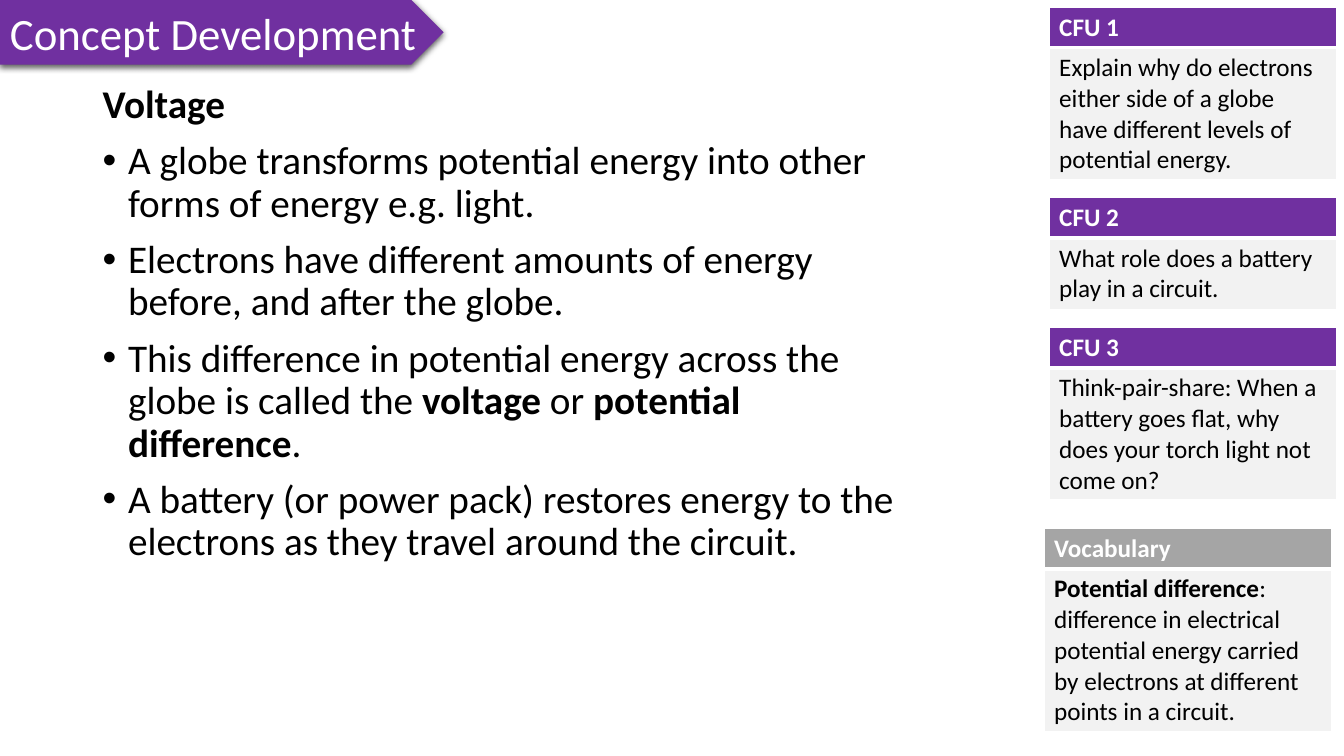
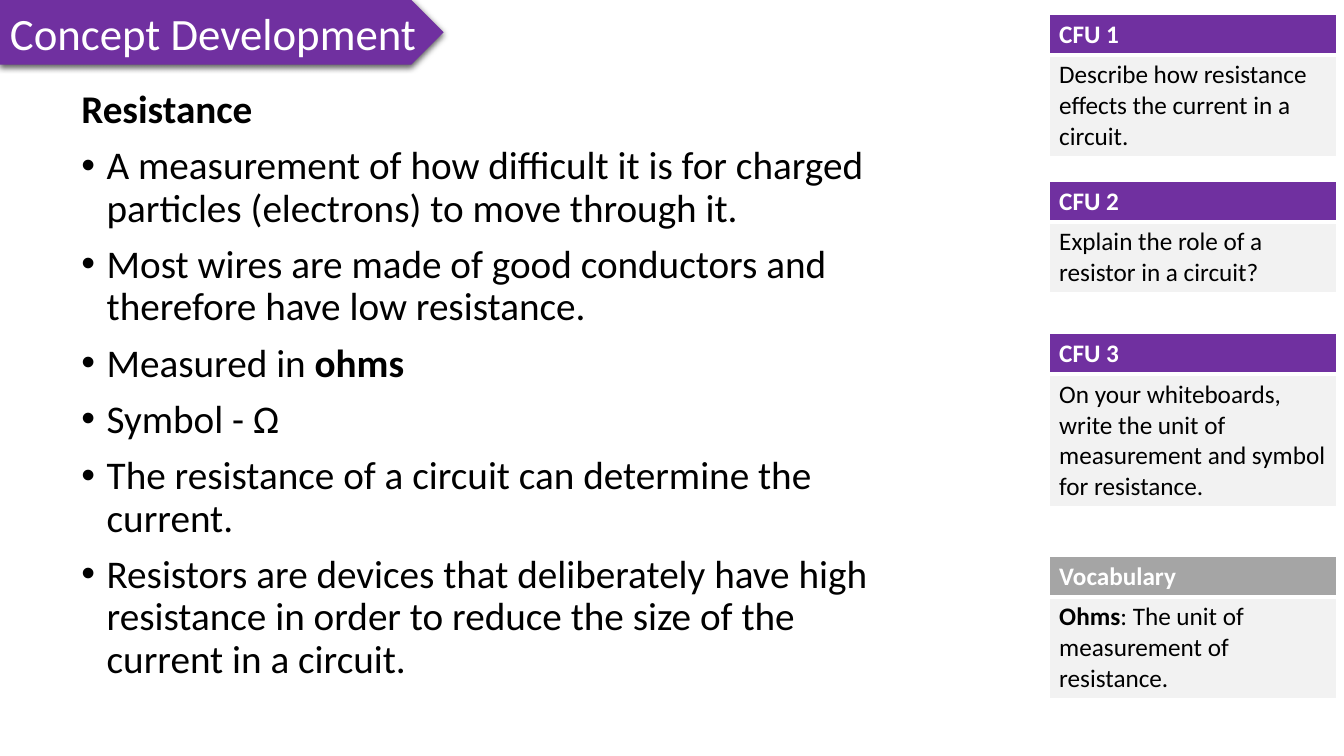
"""Build two lesson slides on voltage and resistance."""
from lxml.etree import SubElement
from pptx import Presentation
from pptx.dml.color import RGBColor
from pptx.enum.shapes import MSO_SHAPE
from pptx.enum.text import MSO_ANCHOR, PP_ALIGN
from pptx.oxml import parse_xml
from pptx.oxml.ns import nsdecls, qn
from pptx.util import Cm, Pt

COLOURS = {
    "purple": "7030A0",
    "grey": "A5A5A5",
    "pale": "F2F2F2",
    "white": "FFFFFF",
    "black": "000000",
}
FONT = "Calibri"
CARD_LEFT, CARD_WIDTH, HEADER_HEIGHT = 26.44, 7.24, 1.02
LINE_HEIGHT, CELL_PADDING = 0.77, 0.25

LESSONS = [
    {
        "left": 2.34, "top": 2.01, "height": 13.59,
        "heading": "Voltage",
        "points": [
            "A globe transforms potential energy into other forms of energy e.g. light.",
            "Electrons have different amounts of energy before, and after the globe.",
            "This difference in potential energy across the globe is called the "
            "**voltage** or **potential difference**.",
            "A battery (or power pack) restores energy to the electrons as they "
            "travel around the circuit.",
        ],
        "cards": [
            ("CFU 1", CARD_LEFT, 0.18, 4, "Explain why do electrons either side of a "
             "globe have different levels of potential energy."),
            ("CFU 2", CARD_LEFT, 4.98, 2, "What role does a battery play in a circuit."),
            ("CFU 3", CARD_LEFT, 8.25, 4, "Think-pair-share: When a battery goes flat, "
             "why does your torch light not come on?"),
            ("Vocabulary", 26.31, 13.31, 5, "**Potential difference**: difference in "
             "electrical potential energy carried by electrons at different points "
             "in a circuit."),
        ],
    },
    {
        "left": 1.8, "top": 2.13, "height": 15.9,
        "heading": "Resistance",
        "points": [
            "A measurement of how difficult it is for charged particles (electrons) "
            "to move through it.",
            "Most wires are made of good conductors and therefore have low resistance.",
            "Measured in **ohms**",
            "Symbol - Ω",
            "The resistance of a circuit can determine the current.",
            "Resistors are devices that deliberately have high resistance in order "
            "to reduce the size of the current in a circuit.",
        ],
        "cards": [
            ("CFU 1", CARD_LEFT, 0.36, 3, "Describe how resistance effects the current "
             "in a circuit."),
            ("CFU 2", CARD_LEFT, 4.57, 2, "Explain the role of a resistor in a circuit?"),
            ("CFU 3", CARD_LEFT, 8.41, 4, "On your whiteboards, write the unit of "
             "measurement and symbol for resistance."),
            ("Vocabulary", CARD_LEFT, 14.02, 3, "**Ohms**: The unit of measurement of "
             "resistance."),
        ],
    },
]


def write(paragraph, text, size, colour):
    """Fill a paragraph; text between double asterisks is bold."""
    paragraph.font.name = FONT
    paragraph.font.size = Pt(size)
    paragraph.font.color.rgb = RGBColor.from_string(COLOURS[colour])
    for index, part in enumerate(text.split("**")):
        if part:
            run = paragraph.add_run()
            run.text = part
            run.font.bold = index % 2 == 1


def style_cell(cell, fill, borders):
    """Fill a cell and give it white borders, widths in points."""
    cell.fill.solid()
    cell.fill.fore_color.rgb = RGBColor.from_string(COLOURS[fill])
    properties = cell._tc.get_or_add_tcPr()
    for index, (side, width) in enumerate(zip("LRTB", borders)):
        properties.insert(index, parse_xml(
            f'<a:ln{side} {nsdecls("a")} w="{Pt(width)}"><a:solidFill>'
            f'<a:srgbClr val="{COLOURS["white"]}"/></a:solidFill></a:ln{side}>'))


presentation = Presentation()
presentation.slide_width = Cm(33.87)
presentation.slide_height = Cm(19.05)

for lesson in LESSONS:
    slide = presentation.slides.add_slide(presentation.slide_layouts[6])

    banner = slide.shapes.add_shape(MSO_SHAPE.PENTAGON, 0, 0, Cm(11.18), Cm(1.63))
    banner.fill.solid()
    banner.fill.fore_color.rgb = RGBColor.from_string(COLOURS["purple"])
    banner.line.fill.background()
    banner.shadow.inherit = False
    banner._element.spPr.find(qn("a:effectLst")).append(parse_xml(
        f'<a:outerShdw {nsdecls("a")} blurRad="{Pt(4.5)}" dist="{Pt(1.5)}" '
        f'dir="5400000" algn="t" rotWithShape="0"><a:srgbClr val="{COLOURS["black"]}">'
        '<a:alpha val="63000"/></a:srgbClr></a:outerShdw>'))
    banner.text_frame.word_wrap = False
    banner.text_frame.vertical_anchor = MSO_ANCHOR.MIDDLE
    title = banner.text_frame.paragraphs[0]
    title.alignment = PP_ALIGN.LEFT
    write(title, "Concept Development", 32, "white")

    body = slide.shapes.add_textbox(
        Cm(lesson["left"]), Cm(lesson["top"]), Cm(21), Cm(lesson["height"]))
    frame = body.text_frame
    frame.word_wrap = True
    heading = frame.paragraphs[0]
    heading.line_spacing = 0.9
    write(heading, f"**{lesson['heading']}**", 28, "black")
    for point in lesson["points"]:
        paragraph = frame.add_paragraph()
        properties = paragraph._p.get_or_add_pPr()
        properties.set("marL", str(Cm(0.64)))
        properties.set("indent", str(-Cm(0.64)))
        SubElement(properties, qn("a:buFont"), typeface="Arial")
        SubElement(properties, qn("a:buChar"), char="•")
        paragraph.line_spacing = 0.9
        paragraph.space_before = Pt(10)
        write(paragraph, point, 28, "black")

    for label, left, top, lines, text in lesson["cards"]:
        body_height = lines * LINE_HEIGHT + CELL_PADDING
        table = slide.shapes.add_table(
            2, 1, Cm(left), Cm(top), Cm(CARD_WIDTH),
            Cm(HEADER_HEIGHT + body_height)).table
        table.first_row = False
        table.horz_banding = False
        table.rows[0].height = Cm(HEADER_HEIGHT)
        table.rows[1].height = Cm(body_height)
        header, content = table.cell(0, 0), table.cell(1, 0)
        style_cell(header, "grey" if label == "Vocabulary" else "purple", (1, 1, 1, 3))
        style_cell(content, "pale", (1, 1, 3, 1))
        write(header.text_frame.paragraphs[0], f"**{label}**", 18, "white")
        write(content.text_frame.paragraphs[0], text, 18, "black")

presentation.save("out.pptx")
